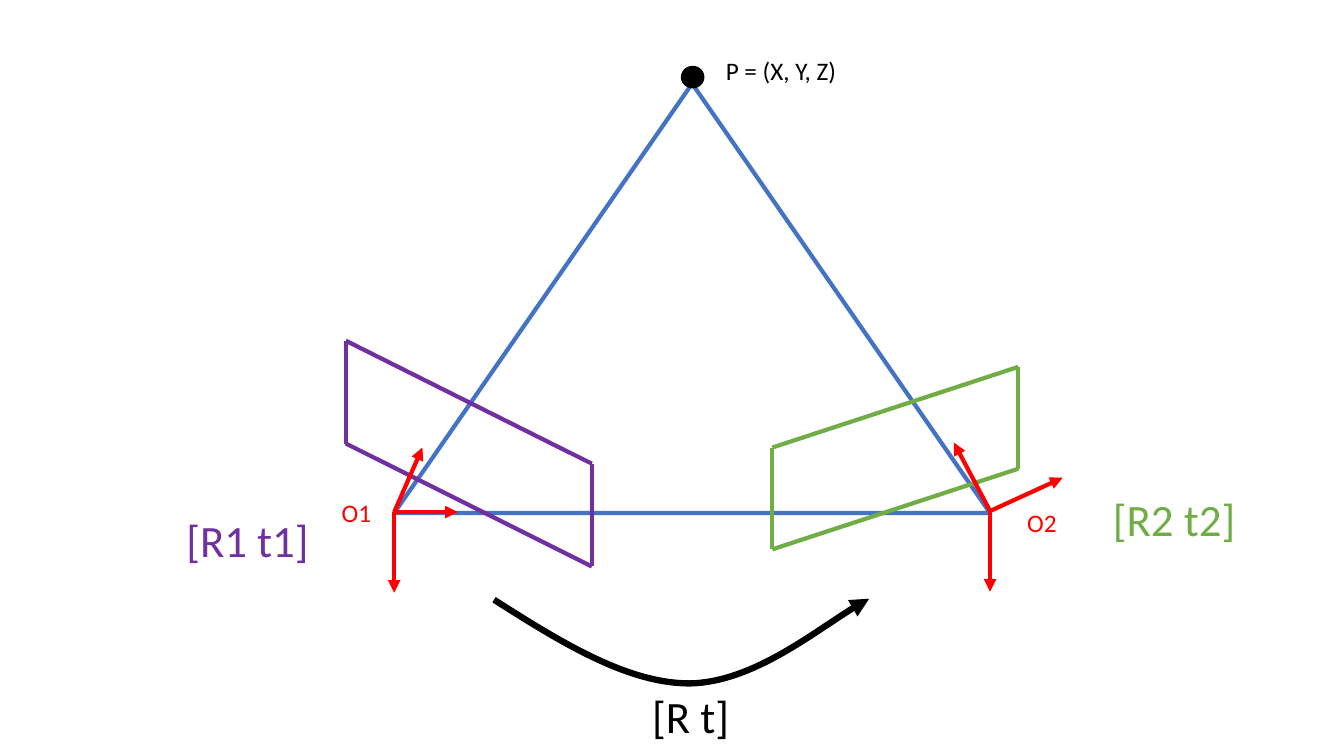
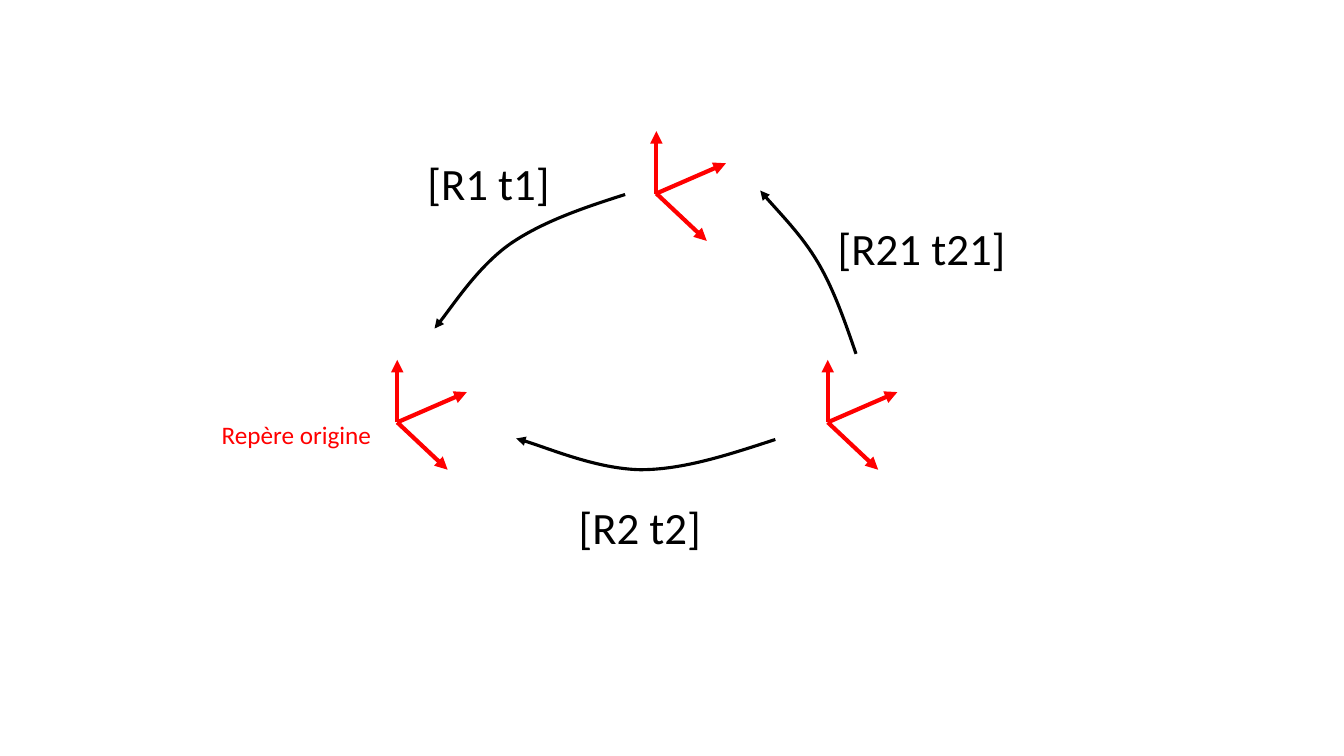
import pptx
import pptx.dml.color
import pptx.enum.shapes
import pptx.enum.text
import pptx.oxml
import pptx.oxml.ns
import pptx.util

PX = 9144  # EMU per px, 100 px to the inch
BLACK, WHITE, RED = "000000", "FFFFFF", "FF0000"
BLUE, PURPLE, GREEN = "4472C4", "7030A0", "70AD47"
FONT = "Calibri"
SMALL, LARGE = 18, 32
FRAME_LINE = 3
SHAPES = pptx.enum.shapes.MSO_SHAPE


def px(*lengths):
    return [pptx.util.Emu(length * PX) for length in lengths]


def rgb(color):
    return pptx.dml.color.RGBColor.from_string(color)


def set_line(item, color, width, arrow=False):
    item.line.color.rgb = rgb(color)
    item.line.width = pptx.util.Pt(width)
    if arrow:
        stroke = item.line._get_or_add_ln()
        head = pptx.oxml.parse_xml(
            f'<a:tailEnd {pptx.oxml.ns.nsdecls("a")} type="triangle"/>')
        stroke.append(head)


def add_segment(slide, start, end, color, arrow=False):
    segment = slide.shapes.add_connector(
        pptx.enum.shapes.MSO_CONNECTOR.STRAIGHT, *px(*start, *end))
    set_line(segment, color, FRAME_LINE, arrow)
    segment._element.spPr.append(
        pptx.oxml.parse_xml(f'<a:effectLst {pptx.oxml.ns.nsdecls("a")}/>'))


def add_solid(slide, preset, box, fill, line, width):
    solid = slide.shapes.add_shape(preset, *px(*box))
    solid.shadow.inherit = False
    solid.fill.solid()
    solid.fill.fore_color.rgb = rgb(fill)
    set_line(solid, line, width)


def add_label(slide, text, box, size, color=BLACK):
    label = slide.shapes.add_textbox(*px(*box))
    frame = label.text_frame
    frame.word_wrap = True
    frame.auto_size = pptx.enum.text.MSO_AUTO_SIZE.SHAPE_TO_FIT_TEXT
    run = frame.paragraphs[0].add_run()
    run.text = text
    for name, value in {"name": FONT, "size": pptx.util.Pt(size)}.items():
        setattr(run.font, name, value)
    run.font.color.rgb = rgb(color)


def add_curved_arrow(slide, start, controls, width):
    """Draw cubic Béziers; controls holds three points for each curve."""
    builder = slide.shapes.build_freeform(*start, scale=PX)
    builder.add_line_segments(controls, close=False)
    arrow = builder.convert_to_shape()
    arrow.shadow.inherit = False
    arrow.fill.background()
    set_line(arrow, BLACK, width, arrow=True)

    outline = arrow._element.xpath(".//a:path")[0]
    steps = outline.findall(pptx.oxml.ns.qn("a:lnTo"))
    for first in range(0, len(steps), 3):
        curve = outline.makeelement(pptx.oxml.ns.qn("a:cubicBezTo"), {})
        outline.append(curve)
        for step in steps[first:first + 3]:
            curve.append(step[0])
            outline.remove(step)


def add_axes(slide, origin, offsets):
    x, y = origin
    for dx, dy in offsets:
        add_segment(slide, origin, (x + dx, y + dy), RED, arrow=True)


def add_image_plane(slide, left_top, right_top, height, color):
    left_bottom, right_bottom = [(x, y + height) for x, y in (left_top, right_top)]
    for start, end in ((left_bottom, right_bottom), (left_top, right_top),
                       (left_top, left_bottom), (right_bottom, right_top)):
        add_segment(slide, start, end, color)


def build_two_cameras(slide):
    add_solid(slide, SHAPES.ISOSCELES_TRIANGLE, (391, 83, 591, 426), WHITE, BLUE, 3)
    add_solid(slide, SHAPES.OVAL, (676, 66, 22, 21), BLACK, BLACK, 1)
    add_label(slide, "P = (X, Y, Z)", (710, 50, 169, 40), SMALL)

    add_image_plane(slide, (343, 338), (587, 460), 102, PURPLE)
    add_image_plane(slide, (766, 444), (1010, 364), 101, GREEN)
    add_axes(slide, (391, 508), [(0, 80), (63, 0), (28, -64)])
    add_axes(slide, (982, 507), [(0, 80), (72, -33), (-36, -68)])

    add_label(slide, "O1", (329, 488, 100, 40), SMALL, RED)
    add_label(slide, "O2", (1009, 498, 100, 40), SMALL, RED)
    add_label(slide, "[R1 t1]", (175, 504, 154, 64), LARGE, PURPLE)
    add_label(slide, "[R2 t2]", (1094, 483, 154, 64), LARGE, GREEN)
    add_curved_arrow(slide, (490, 595), [(556, 637), (622, 678), (684, 678),
                                         (746, 677), (824, 614), (862, 594)], 4.5)
    add_label(slide, "[R t]", (637, 678, 283, 64), LARGE)


def build_frame_cycle(slide):
    for origin in ((394, 419), (651, 192), (821, 419)):
        add_axes(slide, origin, [(50, 47), (69, -30), (0, -62)])

    for start, controls in (
        ((769, 436), [(723, 451), (678, 466), (635, 466),
                      (592, 465), (538, 442), (512, 435)]),
        ((620, 193), [(579, 206), (538, 220), (506, 242),
                      (475, 264), (446, 308), (431, 326)]),
        ((849, 351), [(838, 319), (827, 287), (811, 260),
                      (795, 233), (766, 204), (754, 189)]),
    ):
        add_curved_arrow(slide, start, controls, 2.25)

    add_label(slide, "[R1 t1]", (414, 150, 154, 64), LARGE)
    add_label(slide, "[R2 t2]", (564, 491, 154, 64), LARGE)
    add_label(slide, "[R21 t21]", (821, 214, 237, 64), LARGE)
    add_label(slide, "Repère origine", (210, 411, 189, 40), SMALL, RED)


def main():
    deck = pptx.Presentation()
    deck.slide_width, deck.slide_height = px(1333, 750)
    blank = deck.slide_layouts[6]
    for build in (build_two_cameras, build_frame_cycle):
        build(deck.slides.add_slide(blank))
    deck.save("out.pptx")


if __name__ == "__main__":
    main()
